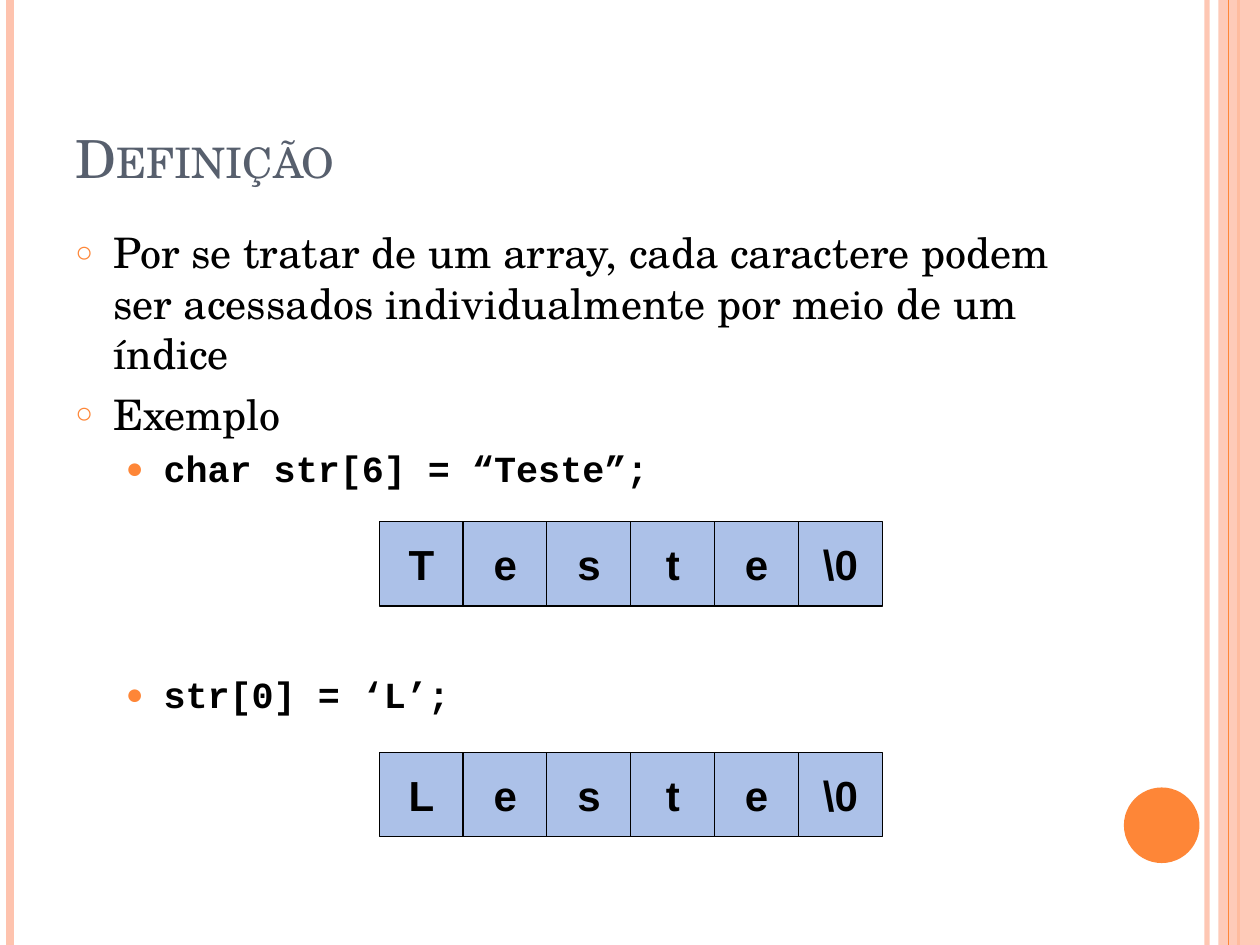
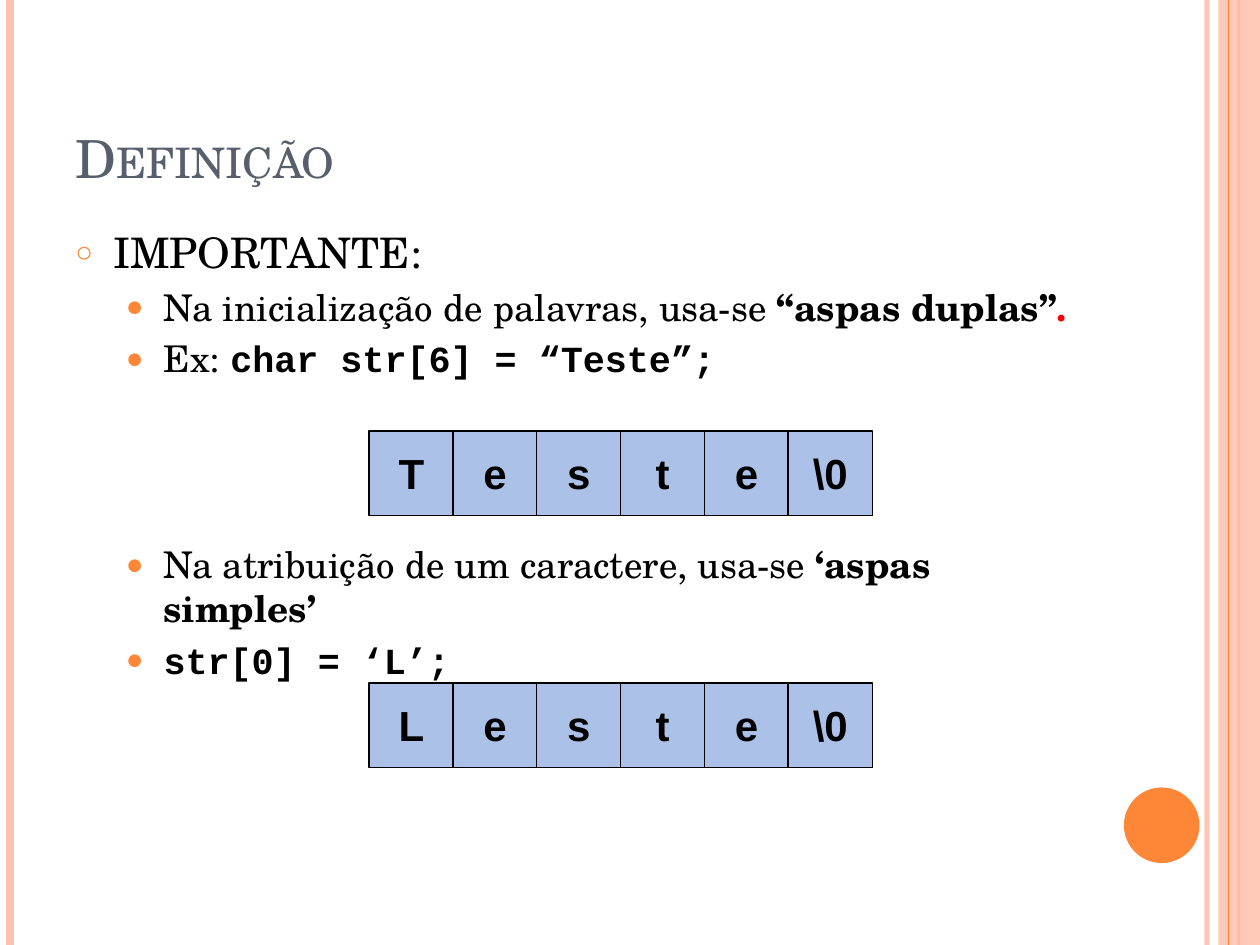
from lxml import etree
from pptx import Presentation
from pptx.dml.color import RGBColor
from pptx.enum.shapes import MSO_CONNECTOR, MSO_SHAPE
from pptx.enum.text import MSO_ANCHOR, PP_ALIGN
from pptx.oxml.ns import qn
from pptx.util import Inches, Pt

STRAIGHT = MSO_CONNECTOR.STRAIGHT
RECTANGLE, OVAL = MSO_SHAPE.RECTANGLE, MSO_SHAPE.OVAL
TOP, MIDDLE, BOTTOM = MSO_ANCHOR.TOP, MSO_ANCHOR.MIDDLE, MSO_ANCHOR.BOTTOM
CENTER = PP_ALIGN.CENTER

COLORS = {
    "peach": "FEC3AE", "orange": "FE8637", "slate": "575F6D",
    "cell": "ACC1E8", "black": "000000", "red": "FF0000",
}
SERIF, MONO, SANS = "TeX Gyre Schola", "Courier New", "Arial"
SLIDE_WIDTH, SLIDE_HEIGHT = 10, 7.5
TITLE_BOX = (0.5, 0.3, 8.17, 1.25)
BODY_BOX = (0.5, 1.75, 8.17, 5.33)
CELL_SIZE, CELL_PITCH, LABEL_SIZE = 0.67, 0.665, 0.5

# Per outline level: indent (in), space before (pt), bullet, bullet %, text size (pt)
LEVELS = [(0.3, 6, "○", 70, 24), (0.7, 4.2, "●", 80, 21)]
HANGING = 0.3

# Run styles: font, bold, colour
PLAIN = (SERIF, False, "black")
STRONG = (SERIF, True, "black")
ALERT = (SERIF, True, "red")
CODE = (MONO, True, "black")


def rgb(name):
    return RGBColor.from_string(COLORS[name])


def add_child(parent, tag, **attributes):
    return etree.SubElement(parent, qn(tag), attributes)


def set_opacity(shape, percent):
    color = next(shape._element.spPr.iter(qn("a:srgbClr")))
    add_child(color, "a:alpha", val=str(percent * 1000))


def style_run(run, size, font, bold, color):
    run.font.size = Pt(size)
    run.font.name = font
    run.font.bold = bold
    run.font.color.rgb = rgb(color)


def add_filled(shapes, preset, box, color, outline=None):
    shape = shapes.add_shape(preset, *map(Inches, box))
    shape.shadow.inherit = False
    shape.fill.solid()
    shape.fill.fore_color.rgb = rgb(color)
    if outline:
        shape.line.color.rgb = rgb(outline)
        shape.line.width = Pt(0.75)
    else:
        shape.line.fill.background()
    return shape


def add_stripe(slide, x, color, width):
    """Draw a vertical line over the full slide height."""
    stripe = slide.shapes.add_connector(
        STRAIGHT, Inches(x), 0, Inches(x), Inches(SLIDE_HEIGHT))
    stripe.line.color.rgb = rgb(color)
    stripe.line.width = Pt(width)
    add_child(stripe._element.spPr, "a:effectLst")
    return stripe


def add_frame(slide):
    """Draw the side stripes, the right band and the page disc."""
    set_opacity(add_stripe(slide, 9.58, "peach", 3), 93)
    add_stripe(slide, 0.08, "peach", 4.5)
    add_stripe(slide, 9.83, "orange", 1.5)
    band = (9.67, 0, SLIDE_WIDTH - 9.67, SLIDE_HEIGHT)
    set_opacity(add_filled(slide.shapes, RECTANGLE, band, "peach"), 87)
    add_stripe(slide, 9.75, "orange", 0.75)
    add_filled(slide.shapes, OVAL, (8.92, 6.25, 0.6, 0.6), "orange")


def add_text_frame(slide, box, anchor):
    frame = slide.shapes.add_textbox(*map(Inches, box)).text_frame
    frame.word_wrap = True
    frame.vertical_anchor = anchor
    return frame


def add_title(slide, title):
    frame = add_text_frame(slide, TITLE_BOX, BOTTOM)
    frame.text = title
    run = frame.paragraphs[0].runs[0]
    style_run(run, 30, SERIF, False, "slate")
    run.font._element.set("cap", "small")


def add_outline(slide, items):
    """Write items of (level, runs, space before or None for the usual one)."""
    frame = add_text_frame(slide, BODY_BOX, TOP)
    for index, (level, runs, gap) in enumerate(items):
        indent, space, bullet, bullet_size, size = LEVELS[level]
        paragraph = frame.add_paragraph() if index else frame.paragraphs[0]
        paragraph.level = level
        paragraph.space_before = Pt(gap or space)
        properties = paragraph._p.get_or_add_pPr()
        properties.set("marL", str(Inches(indent)))
        properties.set("indent", str(-Inches(HANGING)))
        bullet_color = add_child(properties, "a:buClr")
        add_child(bullet_color, "a:srgbClr", val=COLORS["orange"])
        add_child(properties, "a:buSzPct", val=str(bullet_size * 1000))
        add_child(properties, "a:buFont", typeface=SANS)
        add_child(properties, "a:buChar", char=bullet)
        for text, style in runs:
            run = paragraph.add_run()
            run.text = text
            style_run(run, size, *style)


def add_string_cells(slide, left, top, characters):
    """Draw a row of array cells, one per character."""
    cells = slide.shapes.add_group_shape().shapes
    margin = (CELL_SIZE - LABEL_SIZE) / 2
    for index, character in enumerate(characters):
        x = left + index * CELL_PITCH
        add_filled(cells, RECTANGLE, (x, top, CELL_SIZE, CELL_SIZE),
                   "cell", "black")
        label_box = (x + margin, top + margin, LABEL_SIZE, LABEL_SIZE)
        frame = add_filled(cells, RECTANGLE, label_box, "cell").text_frame
        frame.margin_left = frame.margin_right = 0
        frame.vertical_anchor = MIDDLE
        frame.text = character
        frame.paragraphs[0].alignment = CENTER
        style_run(frame.paragraphs[0].runs[0], 24, SANS, True, "black")


def add_definition_slide(deck, items, cells_left, cell_tops):
    slide = deck.slides.add_slide(deck.slide_layouts[6])
    add_frame(slide)
    add_title(slide, "Definição")
    add_outline(slide, items)
    for top, first_letter in zip(cell_tops, "TL"):
        add_string_cells(slide, cells_left, top,
                         [first_letter, *"este", "\\0"])


def main():
    deck = Presentation()
    deck.slide_width = Inches(SLIDE_WIDTH)
    deck.slide_height = Inches(SLIDE_HEIGHT)
    declaration = ("char str[6] = “Teste”;", CODE)
    assignment = ("str[0] = ‘L’;", CODE)

    add_definition_slide(deck, [
        (0, [("Por se tratar de um array, cada caractere podem ser acessados "
              "individualmente por meio de um índice", PLAIN)], None),
        (0, [("Exemplo", PLAIN)], None),
        (1, [declaration], None),
        (1, [assignment], 104),
    ], 3.01, (4.14, 5.97))

    add_definition_slide(deck, [
        (0, [("IMPORTANTE:", PLAIN)], None),
        (1, [("Na inicialização de palavras, usa-se ", PLAIN),
             ("“aspas duplas”", STRONG), (".", ALERT)], None),
        (1, [("Ex: ", PLAIN), declaration], None),
        (1, [("Na atribuição de um caractere, usa-se ", PLAIN),
             ("‘aspas simples’", STRONG)], 92.5),
        (1, [assignment], None),
    ], 2.93, (3.42, 5.42))

    deck.save("out.pptx")


if __name__ == "__main__":
    main()
